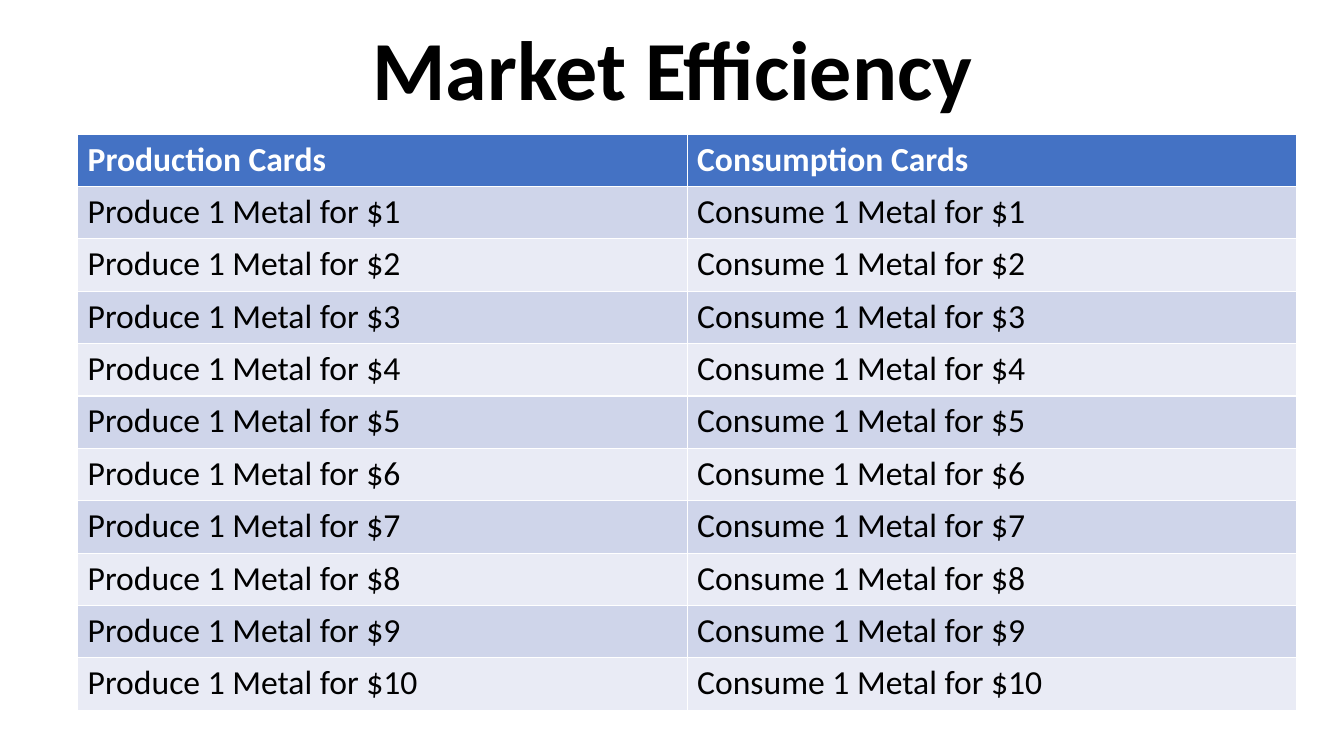
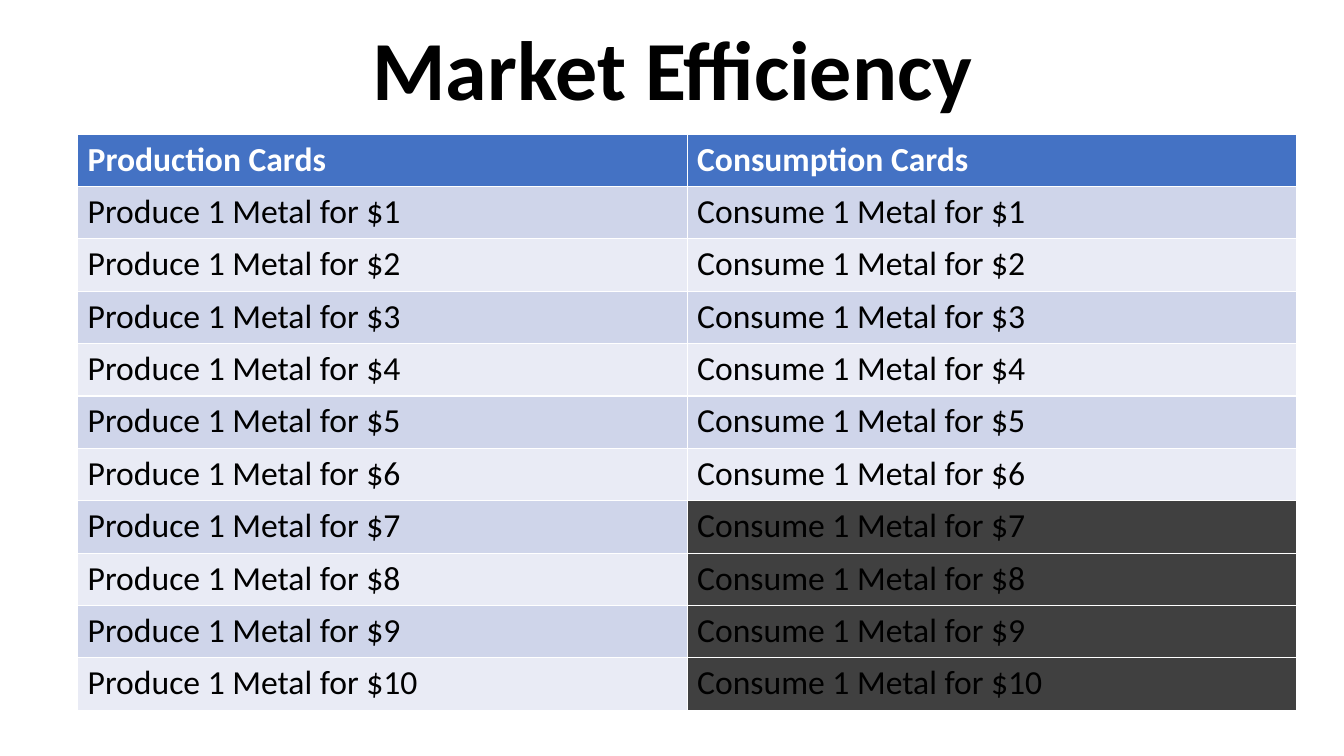
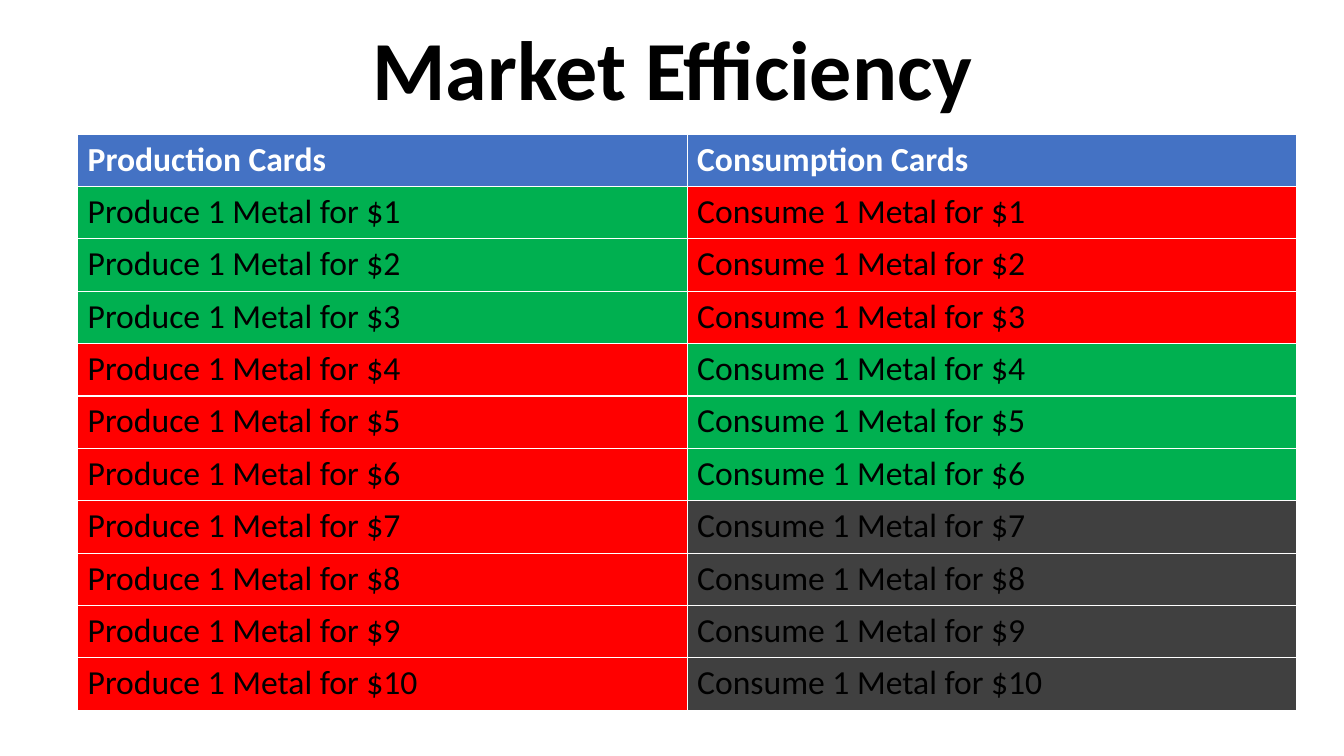
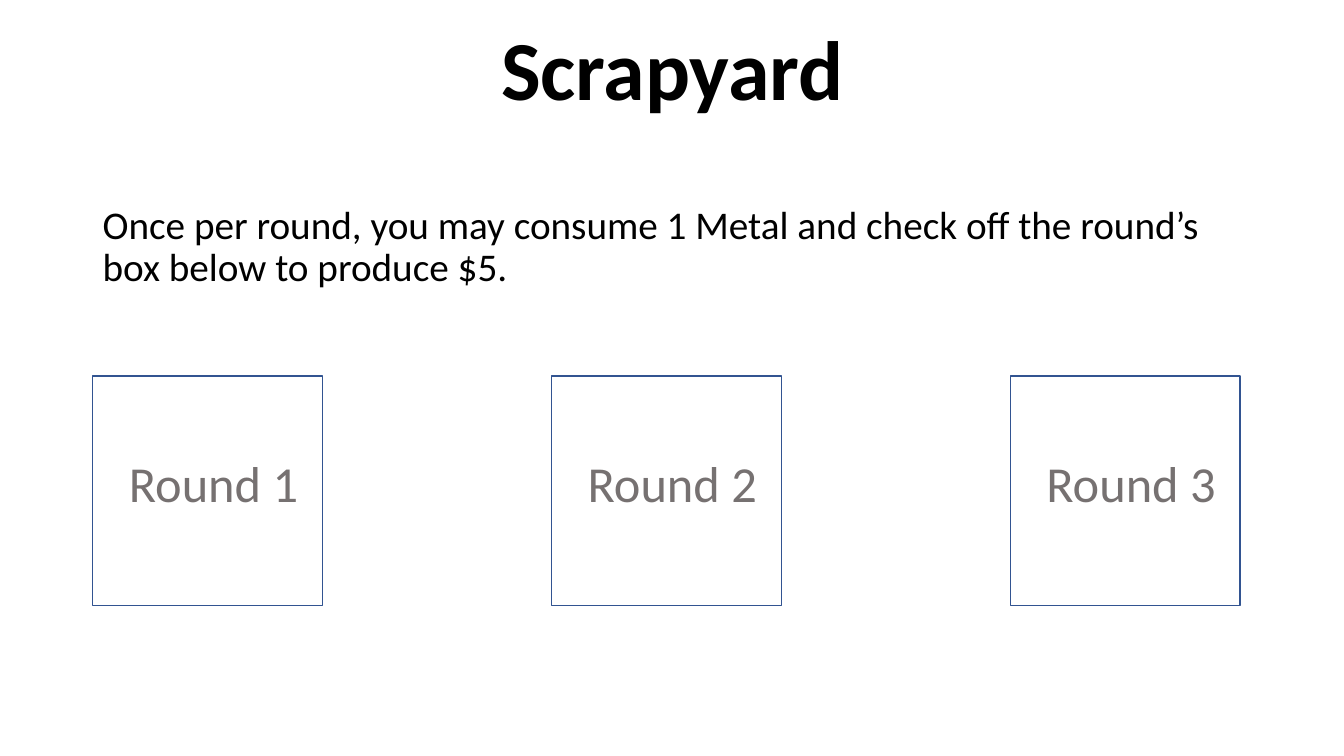
"""Build four slides for a metal market card game."""
from dataclasses import dataclass

from pptx import Presentation
from pptx.dml.color import RGBColor
from pptx.enum.shapes import MSO_SHAPE
from pptx.enum.text import MSO_ANCHOR, PP_ALIGN
from pptx.slide import Slide
from pptx.text.text import TextFrame
from pptx.util import Inches, Pt

RECT = MSO_SHAPE.RECTANGLE
TOP, MIDDLE = MSO_ANCHOR.TOP, MSO_ANCHOR.MIDDLE
LEFT, CENTER = PP_ALIGN.LEFT, PP_ALIGN.CENTER

FONT = "Calibri"
COLORS = {
    "black": "000000",
    "white": "FFFFFF",
    "grey": "767171",
    "edge": "325491",
    "head": "4472C4",
    "odd": "CFD5EA",
    "even": "E9EBF5",
    "dark": "404040",
    "green": "00B050",
    "red": "FF0000",
}


@dataclass(frozen=True)
class Box:
    """Place and size in inches."""
    left: float
    top: float
    width: float
    height: float


@dataclass(frozen=True)
class Style:
    """Look of a text."""
    size: int
    color: str
    bold: bool = False
    align: PP_ALIGN = LEFT
    anchor: MSO_ANCHOR = TOP
    spacing: float = 1.0
    before: int = 0


@dataclass(frozen=True)
class Deck:
    """Heading and verb of a pile of cards."""
    head: str
    verb: str


TITLE = Style(60, "black", True, CENTER, MIDDLE, 0.9)
BODY = Style(28, "black", spacing=0.9, before=10)
ROUND = Style(36, "grey")
HEAD = Style(24, "white", True)
CARD = Style(24, "black")

DECKS = (Deck("Production Cards", "Produce"), Deck("Consumption Cards", "Consume"))
COUNT = 10
ROW = 0.52
GRID = Box(0.77, 1.33, 12.09, 5.7)
BANDS = ("odd", "even") * (COUNT // 2)
DARK = ("dark",) * 4
MARKETS = (
    (BANDS, BANDS),
    (BANDS, BANDS[:6] + DARK),
    (("green",) * 3 + ("red",) * 7, ("red",) * 3 + ("green",) * 3 + DARK),
)

SQUARE = Box(0.92, 3.73, 2.28, 2.28)
LABEL = Box(1.18, 4.44, 2.02, 0.71)
STEP = 4.55
ROUNDS = 3


def rgb(name: str) -> RGBColor:
    """Look up a named colour."""
    return RGBColor.from_string(COLORS[name])


def area(box: Box, shift: float = 0) -> tuple:
    """Turn a box into lengths, moved right by the shift."""
    return tuple(map(Inches, (box.left + shift, box.top, box.width, box.height)))


def write(frame: TextFrame, text: str, style: Style) -> None:
    """Put styled text in a frame."""
    para = frame.paragraphs[0]
    para.text = text
    layout = {"alignment": style.align, "line_spacing": style.spacing,
              "space_before": Pt(style.before)}
    look = {"name": FONT, "size": Pt(style.size), "bold": style.bold}
    font = para.runs[0].font
    for part, values in ((para, layout), (font, look)):
        for key, value in values.items():
            setattr(part, key, value)
    font.color.rgb = rgb(style.color)


def add_text(slide: Slide, box: Box, text: str, style: Style, shift: float = 0) -> None:
    """Add a wrapped text box."""
    frame = slide.shapes.add_textbox(*area(box, shift)).text_frame
    frame.word_wrap = True
    frame.vertical_anchor = style.anchor
    write(frame, text, style)


def add_page(show: Presentation, title: str) -> Slide:
    """Add a blank slide with the shared title."""
    slide = show.slides.add_slide(show.slide_layouts[6])
    add_text(slide, Box(0.92, 0, 11.5, 1.45), title, TITLE)
    return slide


def add_market(slide: Slide, tones: tuple) -> None:
    """Add the card table, with one run of fills per deck."""
    table = slide.shapes.add_table(COUNT + 1, len(DECKS), *area(GRID)).table
    for row in table.rows:
        row.height = Inches(ROW)
    for col, (deck, fills) in enumerate(zip(DECKS, tones)):
        cards = [f"{deck.verb} 1 Metal for ${price}" for price in range(1, COUNT + 1)]
        for row, (text, fill) in enumerate(zip([deck.head, *cards], ("head", *fills))):
            cell = table.cell(row, col)
            cell.fill.solid()
            cell.fill.fore_color.rgb = rgb(fill)
            write(cell.text_frame, text, CARD if row else HEAD)


def add_round(slide: Slide, index: int) -> None:
    """Add the check box of one round."""
    shift = index * STEP
    square = slide.shapes.add_shape(RECT, *area(SQUARE, shift))
    square.shadow.inherit = False
    square.fill.solid()
    square.fill.fore_color.rgb = rgb("white")
    square.line.color.rgb = rgb("edge")
    square.line.width = Pt(1)
    add_text(slide, LABEL, f"Round {index + 1}", ROUND, shift)


def main() -> None:
    """Build and save the slides."""
    show = Presentation()
    show.slide_width, show.slide_height = Inches(13.33), Inches(7.5)
    for tones in MARKETS:
        add_market(add_page(show, "Market Efficiency"), tones)
    yard = add_page(show, "Scrapyard")
    add_text(yard, Box(0.92, 1.99, 11.5, 1.54),
             "Once per round, you may consume 1 Metal and check off "
             "the round’s box below to produce $5.", BODY)
    for index in range(ROUNDS):
        add_round(yard, index)
    show.save("out.pptx")


main()
